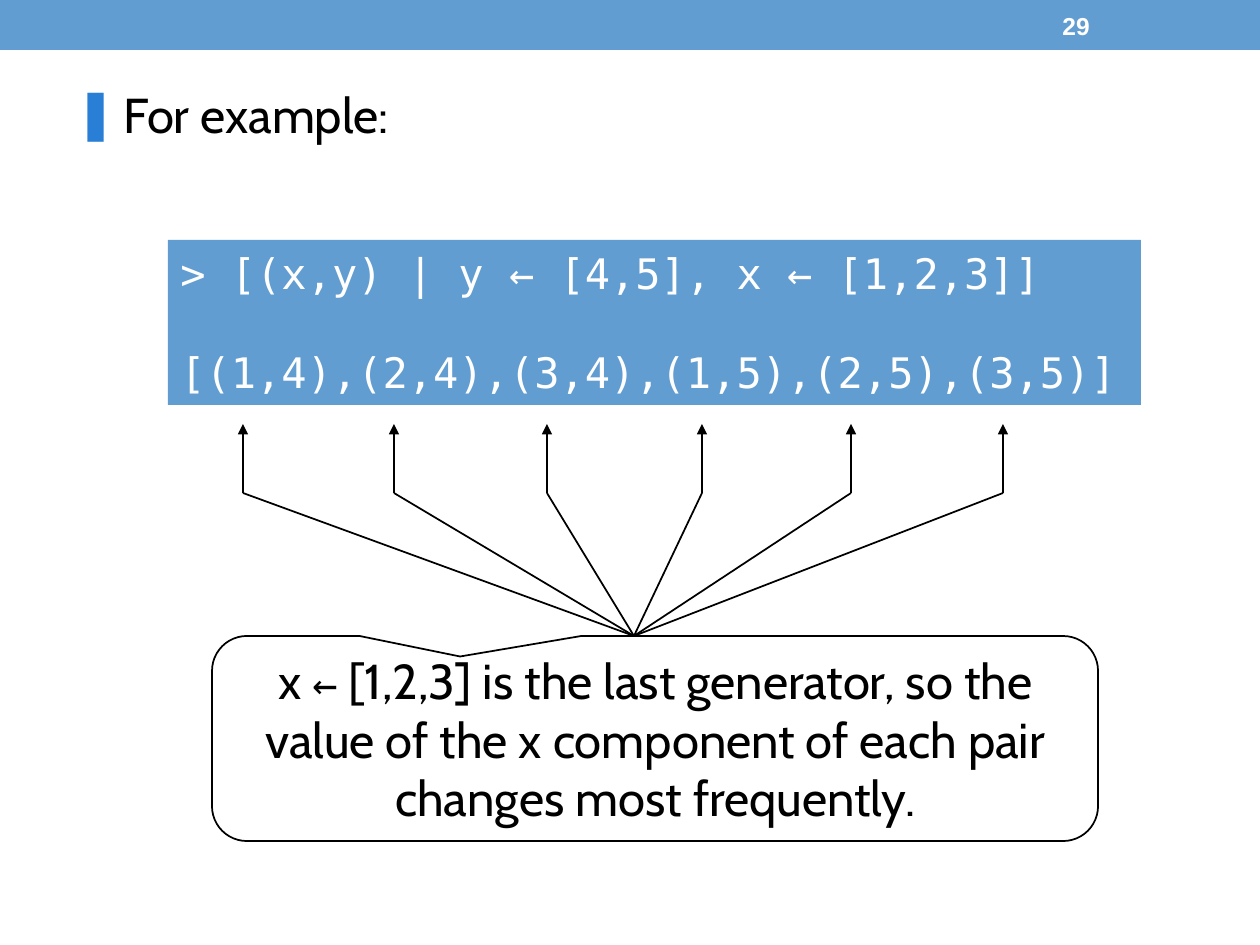
"""Build the slide on generator order in list comprehensions."""
from dataclasses import dataclass

from lxml import etree
from pptx import Presentation
from pptx import util as u
from pptx.dml.color import RGBColor
from pptx.enum import shapes, text
from pptx.oxml.ns import qn


@dataclass(frozen=True)
class Theme:
    band: str = "629DD1"
    mark: str = "297FD5"
    ink: str = "000000"
    paper: str = "FFFFFF"
    body: str = "Cabin"
    code: str = "DejaVu Sans Mono"
    label: str = "Arial"
    large: int = 28
    mid: int = 24
    small: int = 14


def px(n):
    return u.Emu(round(n * u.Inches(1) / 126))


class Deck:
    def __init__(self, theme, wide, high):
        self.theme = theme
        self.file = Presentation()
        self.file.slide_width, self.file.slide_height = px(wide), px(high)
        self.slide = self.file.slides.add_slide(self.file.slide_layouts[1])
        title = self.slide.shapes.title
        title.element.getparent().remove(title.element)

    def run(self, para, words, face, size, color, bold=False):
        run = para.add_run()
        run.text = words
        font = run.font
        font.name, font.size, font.bold = face, u.Pt(size), bold
        font.color.rgb = RGBColor.from_string(color)

    def shape(self, kind, box, fill=None, line=None):
        item = self.slide.shapes.add_shape(kind, *map(px, box))
        item.shadow.inherit = False
        if fill:
            item.fill.solid()
            item.fill.fore_color.rgb = RGBColor.from_string(fill)
        else:
            item.fill.background()
        if line:
            item.line.color.rgb = RGBColor.from_string(line)
            item.line.width = u.Pt(1)
        else:
            item.line.fill.background()
        item.text_frame.vertical_anchor = text.MSO_ANCHOR.MIDDLE
        return item

    def number(self, box, words):
        frame = self.slide.shapes.add_textbox(*map(px, box)).text_frame
        frame.word_wrap = True
        frame.vertical_anchor = text.MSO_ANCHOR.MIDDLE
        look = self.theme
        self.run(frame.paragraphs[0], words, look.label, look.small, look.paper, True)

    def bullet(self, box, words):
        look = self.theme
        item = self.slide.placeholders[1]
        item.left, item.top, item.width, item.height = map(px, box)
        frame = item.text_frame
        frame.auto_size = text.MSO_AUTO_SIZE.NONE
        para = frame.paragraphs[0]
        props = para._p.get_or_add_pPr()
        props.set("marL", str(px(48)))
        props.set("indent", str(px(-48)))
        tint = etree.SubElement(props, qn("a:buClr"))
        etree.SubElement(tint, qn("a:srgbClr"), val=look.mark)
        etree.SubElement(props, qn("a:buChar"), char="❚")
        para.space_before = u.Pt(0)
        self.run(para, words, look.body, look.large, look.ink)

    def code(self, box, lines):
        look = self.theme
        frame = self.shape(shapes.MSO_SHAPE.RECTANGLE, box, look.band).text_frame
        frame.word_wrap = False
        for i, words in enumerate(lines):
            para = frame.add_paragraph() if i else frame.paragraphs[0]
            para.alignment = text.PP_ALIGN.LEFT
            para.space_before = u.Pt(28 if i else 0)
            self.run(para, words, look.code, look.mid, look.paper)

    def callout(self, box, parts):
        look = self.theme
        kind = shapes.MSO_SHAPE.ROUNDED_RECTANGULAR_CALLOUT
        item = self.shape(kind, box, line=look.ink)
        for i, value in enumerate((-0.22, -0.4, 0.17)):
            item.adjustments[i] = value
        frame = item.text_frame
        frame.word_wrap = True
        para = frame.paragraphs[0]
        para.alignment = text.PP_ALIGN.CENTER
        for words, face, size in parts:
            self.run(para, words, face, size, look.ink)

    def line(self, start, end, arrow=False):
        item = self.slide.shapes.add_connector(
            shapes.MSO_CONNECTOR.STRAIGHT, *map(px, start + end))
        item.line.color.rgb = RGBColor.from_string(self.theme.ink)
        item.line.width = u.Pt(1)
        if arrow:
            etree.SubElement(item.line._get_or_add_ln(), qn("a:tailEnd"), type="triangle")
        etree.SubElement(item._element.spPr, qn("a:effectLst"))


def main():
    look = Theme()
    deck = Deck(look, 1260, 945)
    deck.shape(shapes.MSO_SHAPE.RECTANGLE, (0, 0, 1260, 50), look.band)
    deck.number((1050, 3, 147, 45), "29")
    deck.code((168, 240, 973, 165), (
        "> [(x,y) | y ← [4,5], x ← [1,2,3]]",
        "[(1,4),(2,4),(3,4),(1,5),(2,5),(3,5)]",
    ))
    deck.bullet((63, 78, 392, 82), "For example:")
    deck.callout((212, 636, 886, 205), (
        ("x ", look.body, look.large),
        ("←", look.code, look.mid),
        (" [1,2,3] is the last generator, so the value of the x component"
         " of each pair changes most frequently.", look.body, look.large),
    ))
    hub, bend, tip = (634, 636), 493, 424
    for x in (243, 394, 547, 702, 851, 1003):
        deck.line((x, bend), (x, tip), arrow=True)
        deck.line(hub, (x, bend))
    deck.file.save("out.pptx")


if __name__ == "__main__":
    main()
